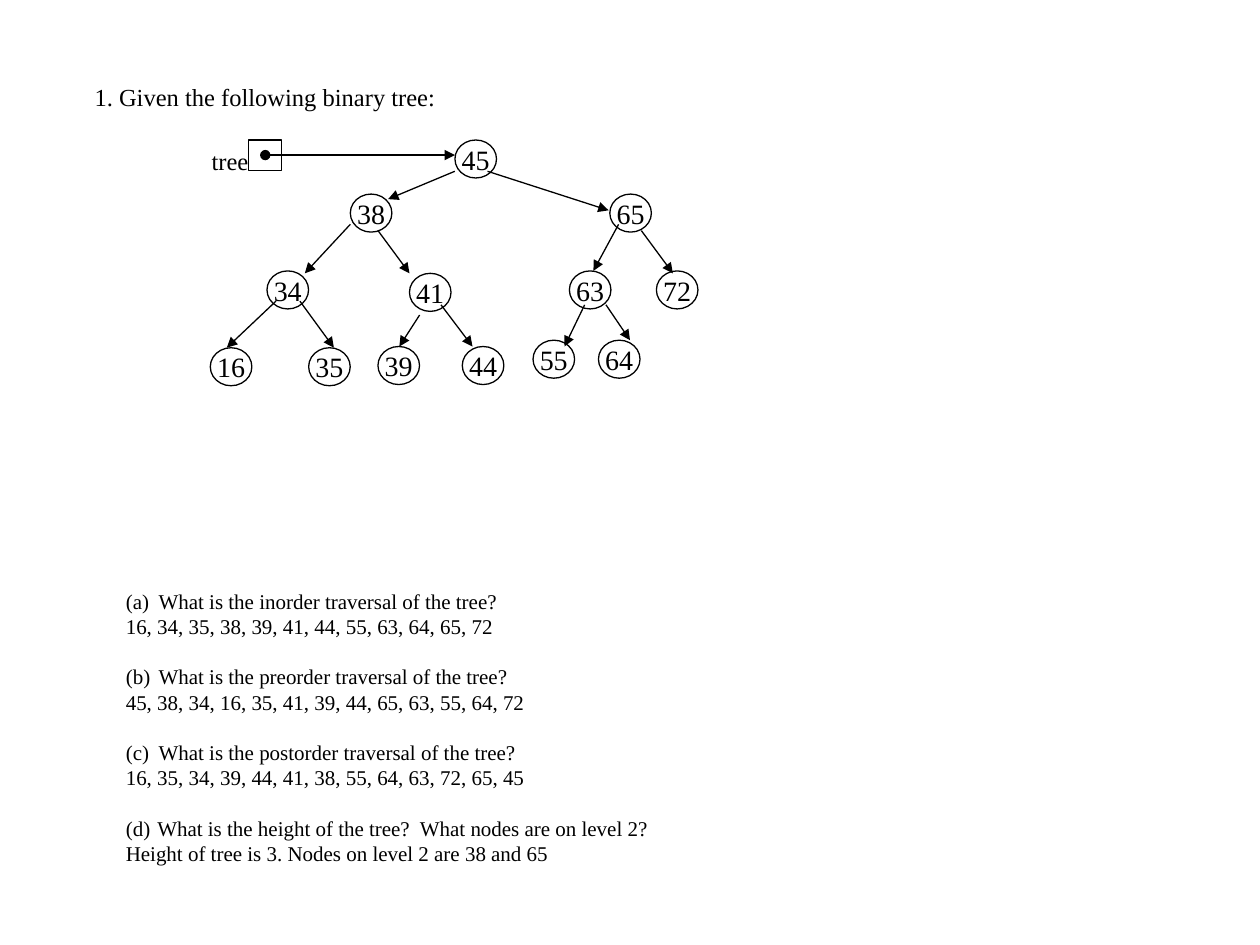
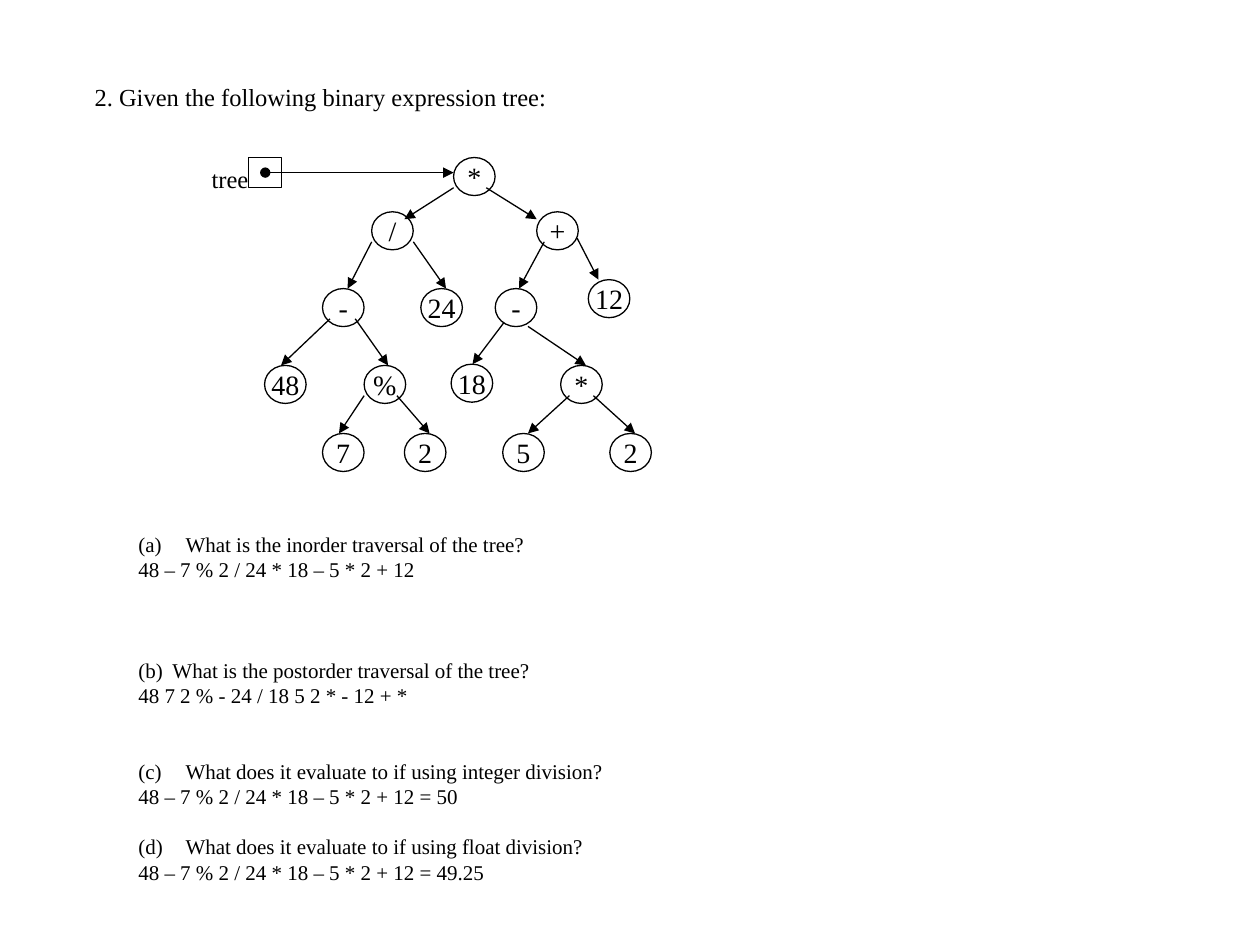
from lxml.etree import SubElement
from pptx import Presentation
from pptx.dml.color import RGBColor
from pptx.enum.shapes import MSO_CONNECTOR, MSO_SHAPE
from pptx.enum.text import MSO_ANCHOR, PP_ALIGN
from pptx.oxml.ns import qn
from pptx.util import Pt

FONT = "Times New Roman"
INK = "000000"
HEADING_SIZE, NODE_SIZE, QUESTION_SIZE = 14, 16, 12
LEADING = 1.2
NODE_W, NODE_H = 23.75, 21.75
POINTER_LEFT, POINTER_W, POINTER_H = 142.2, 18.75, 17.25

EXERCISES = [
    {
        "heading": "1. Given the following binary tree:",
        "heading_width": 212,
        "nodes": [
            ("45", 260, 80), ("38", 200.2, 110.9), ("65", 348.5, 110.9),
            ("34", 152.6, 154.8), ("41", 234, 156.2), ("63", 325.4, 154.8),
            ("72", 375.1, 154.8), ("16", 120.2, 198.7), ("35", 176.4, 198.7),
            ("39", 216, 198), ("44", 264.2, 198), ("55", 304.6, 194.4),
            ("64", 342, 194.4),
        ],
        "branches": [
            (259.9, 97.9, 221.8, 113.8), (278.6, 97.9, 347.8, 120.2),
            (200.2, 128.2, 174.2, 156.2), (216, 131.8, 234, 156.2),
            (353.5, 128.2, 339.1, 154.8), (366.5, 131.8, 384.5, 156.2),
            (157.7, 172.1, 129.6, 198.7), (171.4, 172.1, 190.8, 198.7),
            (239.8, 180, 228.2, 198), (252, 174.2, 270, 198),
            (334.1, 174.2, 322.6, 198), (346.3, 174.2, 360, 194.4),
        ],
        "questions_box": (64.8, 332.6, 320.4, 167),
        "hanging": [18.75, 18.75, 18.75, 18],
        "questions": [
            (0, "What is the inorder traversal of the tree?",
             "16, 34, 35, 38, 39, 41, 44, 55, 63, 64, 65, 72"),
            (1, "What is the preorder traversal of the tree?",
             "45, 38, 34, 16, 35, 41, 39, 44, 65, 63, 55, 64, 72"),
            (1, "What is the postorder traversal of the tree?",
             "16, 35, 34, 39, 44, 41, 38, 55, 64, 63, 72, 65, 45"),
            (1, "What is the height of the tree?  What nodes are on level 2?",
             "Height of tree is 3. Nodes on level 2 are 38 and 65"),
        ],
    },
    {
        "heading": "2. Given the following binary expression tree:",
        "heading_width": 275,
        "nodes": [
            ("*", 259.2, 90), ("/", 212.4, 121), ("+", 306.7, 121),
            ("-", 184.3, 164.9), ("24", 240.5, 164.9), ("-", 283, 164.9),
            ("12", 336.2, 159.8), ("48", 151.2, 208.8), ("%", 208.1, 208.8),
            ("18", 257.8, 208.1), ("*", 320.4, 208.8), ("7", 184.3, 247.7),
            ("2", 231.1, 247.7), ("5", 287.3, 247.7), ("2", 348.5, 247.7),
        ],
        "branches": [
            (259.2, 107.3, 231.1, 125.3), (277.9, 107.3, 306.7, 125.3),
            (212.4, 138.2, 198.7, 164.9), (236.2, 138.2, 254.9, 164.9),
            (311, 138.2, 296.6, 164.9), (329.8, 136.1, 342, 159.8),
            (188.6, 182.2, 160.6, 208.8), (203, 182.2, 221.8, 208.8),
            (288, 184.3, 270, 208.1), (301.7, 186.5, 334.8, 208.8),
            (208.1, 226.1, 193.7, 247.7), (226.8, 226.1, 245.5, 247.7),
            (325.4, 226.1, 301.7, 247.7), (339.1, 226.1, 362.9, 247.7),
        ],
        "questions_box": (72, 300.2, 283.7, 239.8),
        "hanging": [27, 19.5, 27, 27],
        "questions": [
            (0, "What is the inorder traversal of the tree?",
             "48 – 7 % 2 / 24 * 18 – 5 * 2 + 12"),
            (3, "What is the postorder traversal of the tree?",
             "48 7 2 % - 24 / 18 5 2 * - 12 + *"),
            (2, "What does it evaluate to if using integer division?",
             "48 – 7 % 2 / 24 * 18 – 5 * 2 + 12 = 50"),
            (1, "What does it evaluate to if using float division?",
             "48 – 7 % 2 / 24 * 18 – 5 * 2 + 12 = 49.25"),
        ],
    },
]


def color(hex_text):
    """Turn a hex string into a colour."""
    return RGBColor.from_string(hex_text)


def points(*lengths):
    """Convert numbers to point lengths."""
    return [Pt(length) for length in lengths]


def write(paragraph, text, size, align=PP_ALIGN.LEFT):
    """Add one styled run to a paragraph."""
    run = paragraph.add_run()
    run.text = text
    run.font.name, run.font.size = FONT, Pt(size)
    run.font.color.rgb = color(INK)
    paragraph.alignment = align
    paragraph.line_spacing = Pt(LEADING * size)


def number(paragraph, start, hanging):
    """Number a question with a letter in brackets and a hanging indent."""
    properties = paragraph._p.get_or_add_pPr()
    properties.set("marL", str(Pt(hanging)))
    properties.set("indent", str(-Pt(hanging)))
    SubElement(properties, qn("a:buFont"), typeface="+mj-lt")
    SubElement(properties, qn("a:buAutoNum"), type="alphaLcParenBoth", startAt=str(start))


def add_heading(slide, text, width):
    """Place the exercise statement in the title placeholder."""
    heading = slide.shapes.title
    heading.left, heading.top, heading.width, heading.height = points(46.8, 43.2, width, 24)
    frame = heading.text_frame
    frame.word_wrap, frame.vertical_anchor = True, MSO_ANCHOR.TOP
    write(frame.paragraphs[0], text, HEADING_SIZE)


def add_outline(slide, preset, *box):
    """Draw an unfilled shape with a thin line."""
    outline = slide.shapes.add_shape(preset, *points(*box))
    outline.shadow.inherit = False
    outline.fill.background()
    outline.line.color.rgb, outline.line.width = color(INK), Pt(0.75)
    return outline


def add_node(slide, label, left, top):
    """Draw one labelled tree node."""
    frame = add_outline(slide, MSO_SHAPE.OVAL, left, top, NODE_W, NODE_H).text_frame
    frame.word_wrap, frame.vertical_anchor = False, MSO_ANCHOR.MIDDLE
    write(frame.paragraphs[0], label, NODE_SIZE, PP_ALIGN.CENTER)


def add_arrow(slide, ends, dotted=False):
    """Draw an arrow, with a dot at its start if asked."""
    arrow = slide.shapes.add_connector(MSO_CONNECTOR.STRAIGHT, *points(*ends))
    arrow.line.color.rgb, arrow.line.width = color(INK), Pt(0.75)
    line = arrow.line._get_or_add_ln()
    if dotted:
        SubElement(line, qn("a:headEnd"), type="oval")
    SubElement(line, qn("a:tailEnd"), type="triangle")
    SubElement(arrow._element.spPr, qn("a:effectLst"))


def add_pointer(slide, root_left, root_top):
    """Draw the tree variable and its arrow to the root."""
    add_outline(slide, MSO_SHAPE.RECTANGLE, POINTER_LEFT, root_top, POINTER_W, POINTER_H)
    variable = slide.shapes.add_textbox(*points(113.8, root_top, 35.3, 24)).text_frame
    variable.word_wrap = False
    write(variable.paragraphs[0], "tree", HEADING_SIZE)
    middle = root_top + POINTER_H / 2
    add_arrow(slide, (POINTER_LEFT + POINTER_W / 2, middle, root_left, middle), dotted=True)


def add_questions(slide, box, questions, hanging):
    """Write the lettered questions, each followed by its answer."""
    frame = slide.shapes.add_textbox(*points(*box)).text_frame
    frame.word_wrap = True
    for index, (gap_lines, question, answer) in enumerate(questions):
        asked = frame.add_paragraph() if index else frame.paragraphs[0]
        write(asked, question, QUESTION_SIZE)
        asked.space_before = Pt(gap_lines * LEADING * QUESTION_SIZE)
        number(asked, index + 1, hanging[index])
        write(frame.add_paragraph(), answer, QUESTION_SIZE)


def main():
    """Build one slide per exercise."""
    deck = Presentation()
    deck.slide_width, deck.slide_height = points(720, 540)
    for exercise in EXERCISES:
        slide = deck.slides.add_slide(deck.slide_layouts[5])
        add_heading(slide, exercise["heading"], exercise["heading_width"])
        add_questions(slide, exercise["questions_box"], exercise["questions"], exercise["hanging"])
        for node in exercise["nodes"]:
            add_node(slide, *node)
        for branch in exercise["branches"]:
            add_arrow(slide, branch)
        add_pointer(slide, *exercise["nodes"][0][1:])
    deck.save("out.pptx")


if __name__ == "__main__":
    main()
